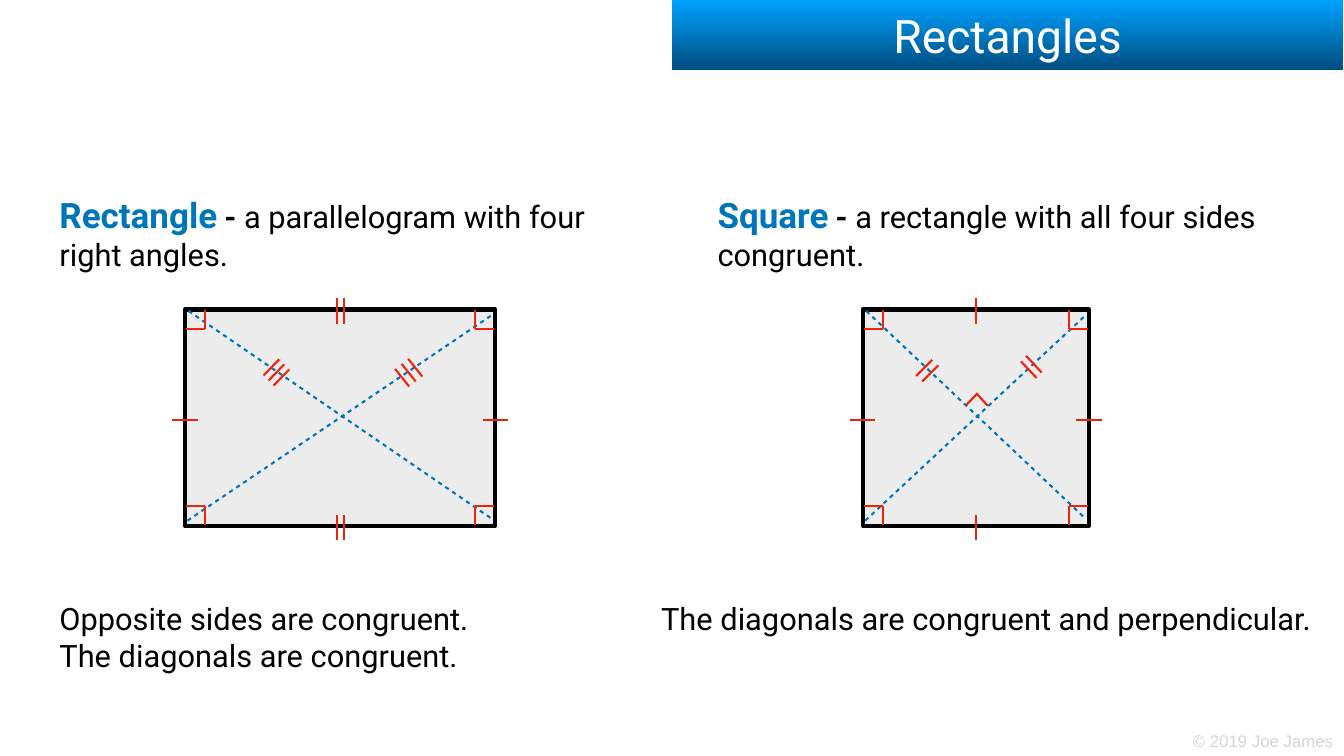
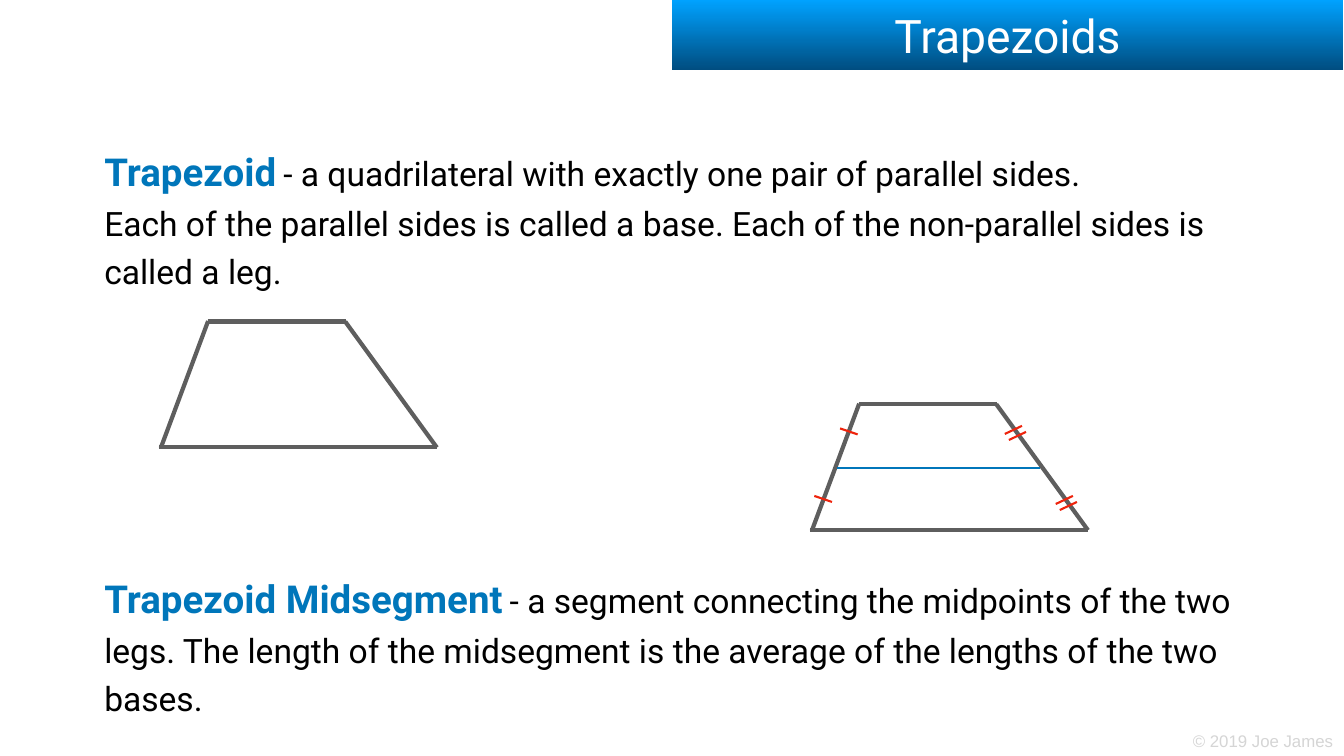
"""Builds two geometry slides: rectangles and trapezoids."""
from dataclasses import dataclass
from typing import NamedTuple

from lxml import etree
from pptx import Presentation
from pptx import util as u
from pptx.dml.color import RGBColor
from pptx.enum import shapes, text
from pptx.oxml.ns import qn

BLUE, RED, BLACK, WHITE = "0076BA", "EE230C", "000000", "FFFFFF"
PANEL, OUTLINE, FOOTER = "ECECEC", "5E5E5E", "D5D5D5"
BAND_TOP, BAND_BOTTOM = "00A2FF", "004D80"
FONT, FOOTER_FONT = "Roboto", "Arial"
THIN, THICK = 3, 6


class Box(NamedTuple):
    """Left, top, width and height in inches."""
    left: float
    top: float
    width: float
    height: float

    def lengths(self) -> list:
        """Give the four values as lengths."""
        return [u.Inches(v) for v in self]


@dataclass
class Ticks:
    """A row of parallel congruence marks, each shifted by one step."""
    x1: float
    y1: float
    x2: float
    y2: float
    count: int = 1
    dx: float = 0
    dy: float = 0


@dataclass
class Quad:
    """A rectangle with right angles, diagonals and tick marks."""
    box: Box
    base_ticks: int
    diagonal_ticks: list[Ticks]


@dataclass
class Definition:
    """A coloured term followed by its meaning."""
    box: Box
    term: str
    term_size: int
    meaning: list[tuple[str, int, bool]]
    spacing: float | None = None


def rgb(color: str) -> RGBColor:
    """Turn a hex string into a colour."""
    return RGBColor.from_string(color)


def add_run(p, content: str, *, size: int, color: str = BLACK,
            bold: bool = False, font: str = FONT) -> None:
    """Add formatted text, turning newlines into line breaks."""
    for i, piece in enumerate(content.split("\n")):
        if i:
            p.add_line_break()
        r = p.add_run()
        r.text = piece
        r.font.size, r.font.bold, r.font.name = u.Pt(size), bold, font
        r.font.color.rgb = rgb(color)


def set_frame(tf, wrap: bool, anchor) -> None:
    """Set wrapping, anchoring and the common insets."""
    tf.word_wrap, tf.vertical_anchor = wrap, anchor
    tf.margin_left = tf.margin_right = u.Inches(0.06)
    tf.margin_top = tf.margin_bottom = u.Inches(0.06)


def add_box(s, box: Box, wrap: bool = False, anchor=text.MSO_ANCHOR.TOP):
    """Add a growing text box and return its frame."""
    tf = s.shapes.add_textbox(*box.lengths()).text_frame
    set_frame(tf, wrap, anchor)
    tf.auto_size = text.MSO_AUTO_SIZE.SHAPE_TO_FIT_TEXT
    return tf


def add_line(parent, x1: float, y1: float, x2: float, y2: float,
             color: str, width: float = THIN, dashed: bool = False) -> None:
    """Draw a straight line without shadow."""
    sp = parent.add_connector(shapes.MSO_CONNECTOR.STRAIGHT,
                              *[u.Inches(v) for v in (x1, y1, x2, y2)])
    sp.line.color.rgb = rgb(color)
    sp.line.width = u.Pt(width)
    sp_pr = sp._element.spPr
    if dashed:
        dash = etree.SubElement(sp_pr.find(qn("a:ln")), qn("a:custDash"))
        etree.SubElement(dash, qn("a:ds"), d="200000", sp="200000")
    etree.SubElement(sp_pr, qn("a:effectLst"))


def add_ticks(s, ticks: Ticks) -> None:
    """Draw a row of red marks."""
    for i in range(ticks.count):
        dx, dy = i * ticks.dx, i * ticks.dy
        add_line(s.shapes, ticks.x1 + dx, ticks.y1 + dy,
                 ticks.x2 + dx, ticks.y2 + dy, RED)


def add_rect(parent, box: Box):
    """Add a rectangle without shadow."""
    sp = parent.add_shape(shapes.MSO_SHAPE.RECTANGLE, *box.lengths())
    sp.shadow.inherit = False
    return sp


def add_quad(s, quad: Quad) -> None:
    """Draw a marked rectangle."""
    left, top, width, height = quad.box
    right, bottom = left + width, top + height
    group = s.shapes.add_group_shape().shapes
    sp = add_rect(group, quad.box)
    sp.fill.solid()
    sp.fill.fore_color.rgb = rgb(PANEL)
    sp.line.color.rgb = rgb(BLACK)
    sp.line.width = u.Pt(THICK)
    add_line(group, left + 0.05, bottom - 0.1, right - 0.05, top + 0.1,
             BLUE, dashed=True)
    add_line(group, left + 0.07, top + 0.03, right - 0.06, bottom - 0.13,
             BLUE, dashed=True)

    for x, inward in ((left, 1), (right, -1)):
        for y, down in ((top, 1), (bottom, -1)):
            inner_x, inner_y = x + inward * 0.4, y + down * 0.39
            add_line(s.shapes, x + inward * 0.02, inner_y, inner_x, inner_y, RED)
            add_line(s.shapes, inner_x, y + down * 0.02, inner_x, inner_y, RED)

    gap, mid_y = 0.14, top + height / 2 + 0.05
    first_x = left + width / 2 - gap * (quad.base_ticks - 1) / 2
    for x in (left, right):
        add_ticks(s, Ticks(x - 0.25, mid_y, x + 0.25, mid_y))
    for y in (top + 0.03, bottom + 0.04):
        add_ticks(s, Ticks(first_x, y - 0.25, first_x, y + 0.25,
                           quad.base_ticks, gap))
    for ticks in quad.diagonal_ticks:
        add_ticks(s, ticks)


def add_trapezoid(s, left: float, top: float) -> None:
    """Draw a trapezoid outline from four thick lines."""
    group = s.shapes.add_group_shape().shapes
    sides = ((0.03, 2.52, 0.97, 0), (5.51, 2.51, 3.69, 0.01),
             (0.96, 0.01, 3.7, 0.01), (0, 2.5, 5.51, 2.5))
    for x1, y1, x2, y2 in sides:
        add_line(group, left + x1, top + y1, left + x2, top + y2,
                 OUTLINE, THICK)


def add_definition(s, item: Definition) -> None:
    """Write a term and its meaning."""
    p = add_box(s, item.box, wrap=True).paragraphs[0]
    p.line_spacing = item.spacing
    add_run(p, item.term, size=item.term_size, color=BLUE, bold=True)
    add_run(p, " ", size=40, bold=True)
    for content, size, bold in item.meaning:
        add_run(p, content, size=size, bold=bold)


def add_facts(s, box: Box, facts: list[str]) -> None:
    """Write one fact a paragraph."""
    tf = add_box(s, box)
    for i, fact in enumerate(facts):
        p = tf.add_paragraph() if i else tf.paragraphs[0]
        if i == 0:
            p.line_spacing = 1.2
        add_run(p, fact, size=44)


def new_slide(prs, title: str):
    """Add a slide with footer and title band."""
    s = prs.slides.add_slide(prs.slide_layouts[6])
    tf = add_box(s, Box(23.61, 14.45, 2.91, 0.49),
                 anchor=text.MSO_ANCHOR.MIDDLE)
    add_run(tf.paragraphs[0], "© 2019 Joe James", size=24, color=FOOTER,
            font=FOOTER_FONT)
    sp = add_rect(s.shapes, Box(13.33, 0, 13.33, 1.39))
    sp.line.fill.background()
    sp.fill.gradient()
    sp.fill.gradient_angle = 270
    for stop, color, position in zip(sp.fill.gradient_stops,
                                     (BAND_TOP, BAND_BOTTOM), (0, 1)):
        stop.color.rgb, stop.position = rgb(color), position
    set_frame(sp.text_frame, True, text.MSO_ANCHOR.MIDDLE)
    p = sp.text_frame.paragraphs[0]
    p.alignment = text.PP_ALIGN.CENTER
    add_run(p, title, size=66, color=WHITE)
    return s


def rectangles_slide(prs) -> None:
    """Build the slide on rectangles and squares."""
    s = new_slide(prs, "Rectangles")
    for left, term, meaning in (
            (1.12, "Rectangle", "a parallelogram with four right angles."),
            (14.18, "Square", "a rectangle with all four sides congruent.")):
        add_definition(s, Definition(Box(left, 3.78, 11.57, 1.66), term, 50,
                                     [("- ", 44, True), (meaning, 44, False)]))
    add_quad(s, Quad(Box(3.67, 6.14, 6.16, 4.29), 2, [
        Ticks(5.23, 7.45, 5.54, 7.13, 3, 0.1, 0.1),
        Ticks(7.84, 7.32, 8.12, 7.67, 3, 0.13, -0.1)]))
    add_quad(s, Quad(Box(17.12, 6.14, 4.49, 4.29), 1, [
        Ticks(18.18, 7.46, 18.5, 7.14, 2, 0.12, 0.11),
        Ticks(20.36, 7.06, 20.67, 7.39, 2, -0.1, 0.11)]))
    add_line(s.shapes, 19.6, 8.05, 19.38, 7.81, RED)
    add_line(s.shapes, 19.17, 8.04, 19.4, 7.8, RED)
    add_facts(s, Box(1.12, 11.7, 8.54, 1.68),
              ["Opposite sides are congruent.", "The diagonals are congruent."])
    add_facts(s, Box(13.06, 11.7, 13.32, 0.82),
              ["The diagonals are congruent and perpendicular."])


def trapezoids_slide(prs) -> None:
    """Build the slide on trapezoids and the midsegment."""
    s = new_slide(prs, "Trapezoids")
    for top, term, meaning in (
            (2.7, "Trapezoid",
             "- a quadrilateral with exactly one pair of parallel sides.\n"
             "Each of the parallel sides is called a base. "
             "Each of the non-parallel sides is called a leg."),
            (11.17, "Trapezoid Midsegment",
             "- a segment connecting the midpoints of the two legs. "
             "The length of the midsegment is the average of the lengths "
             "of the two bases.")):
        add_definition(s, Definition(Box(2.01, top, 22.87, 2.96), term, 55,
                                     [(meaning, 48, False)], 1.2))
    add_trapezoid(s, 3.16, 6.37)
    add_trapezoid(s, 16.08, 8.01)
    add_line(s.shapes, 20.64, 9.28, 16.61, 9.28, BLUE)
    for x, y in ((20.95, 10), (19.94, 8.61)):
        add_ticks(s, Ticks(x, y, x + 0.34, y - 0.16, 2, 0.08, 0.12))
    for x, y in ((16.16, 9.84), (16.67, 8.5)):
        add_ticks(s, Ticks(x, y, x + 0.35, y + 0.12))


def main() -> None:
    """Build and save the presentation."""
    prs = Presentation()
    prs.slide_width, prs.slide_height = u.Inches(26.67), u.Inches(15)
    rectangles_slide(prs)
    trapezoids_slide(prs)
    prs.save("out.pptx")


if __name__ == "__main__":
    main()
